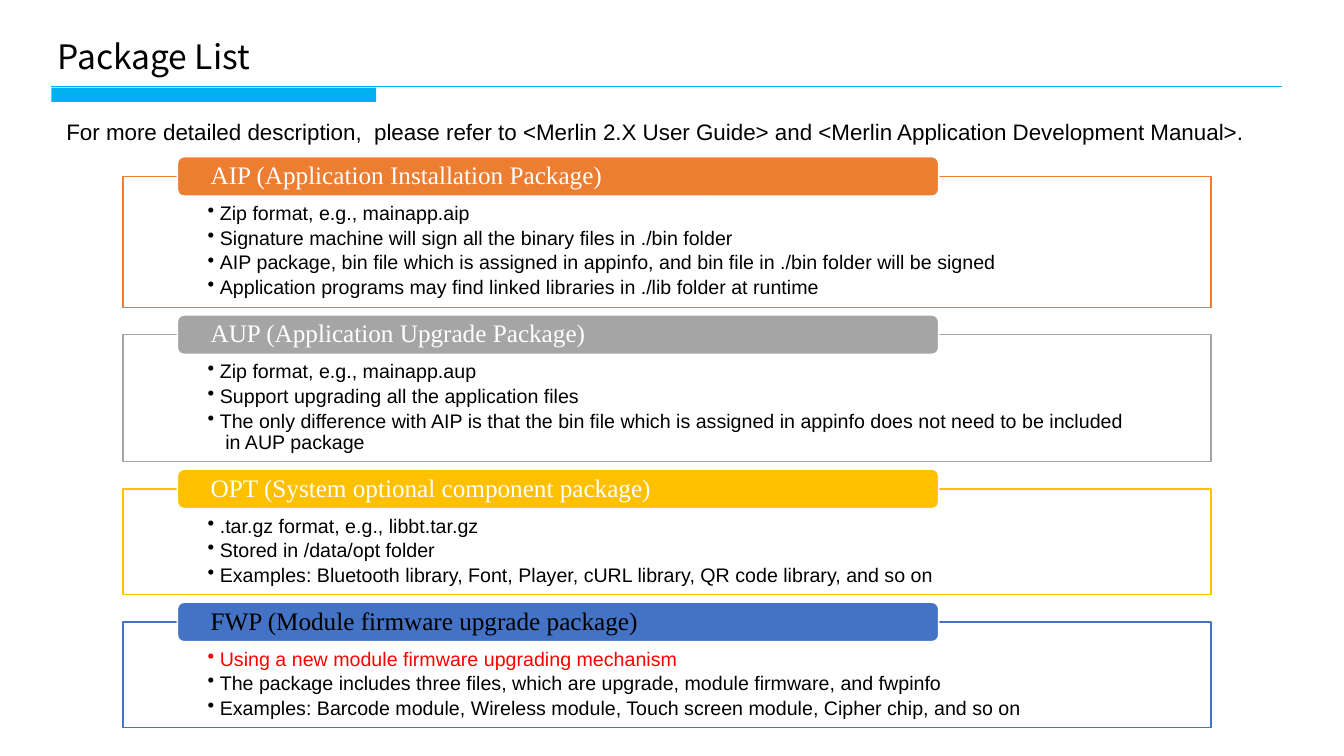
import pptx
import pptx.dml.color
import pptx.enum.shapes
import pptx.enum.text
import pptx.oxml.ns
import pptx.util
from lxml import etree
from pptx.util import Inches

SHAPES = pptx.enum.shapes.MSO_SHAPE
ANCHOR = pptx.enum.text.MSO_ANCHOR

PANEL_LEFT, PANEL_WIDTH, PANEL_GAP = 1.22, 10.79, 0.27
BANNER_LEFT, BANNER_WIDTH, BANNER_HEIGHT = 1.76, 7.55, 0.39
FIRST_PANEL_TOP = 1.75
BLACK, WHITE, RED, SKY = "000000", "FFFFFF", "FF0000", "00B0F0"

# Banner text, colour, banner text colour, panel height, bullets, first bullet colour
PACKAGES = [
    ("AIP (Application Installation Package)", "ED7D31", WHITE, 1.3, [
        "Zip format, e.g., mainapp.aip",
        "Signature machine will sign all the binary files in ./bin folder",
        "AIP package, bin file which is assigned in appinfo, and bin file in ./bin folder will be signed",
        "Application programs may find linked libraries in ./lib folder at runtime",
    ], BLACK),
    ("AUP (Application Upgrade Package)", "A5A5A5", WHITE, 1.26, [
        "Zip format, e.g., mainapp.aup",
        "Support upgrading all the application files",
        "The only difference with AIP is that the bin file which is assigned in appinfo "
        "does not need to be included  in AUP package",
    ], BLACK),
    ("OPT (System optional component package)", "FFC000", WHITE, 1.05, [
        ".tar.gz format, e.g., libbt.tar.gz",
        "Stored in /data/opt folder",
        "Examples: Bluetooth library, Font, Player, cURL library, QR code library, and so on",
    ], BLACK),
    ("FWP (Module firmware upgrade package)", "4472C4", BLACK, 1.05, [
        "Using a new module firmware upgrading mechanism",
        "The package includes three files, which are upgrade, module firmware, and fwpinfo",
        "Examples: Barcode module, Wireless module, Touch screen module, Cipher chip, and so on",
    ], RED),
]


def rgb(value):
    return pptx.dml.color.RGBColor.from_string(value)


def add_xml(parent, tag, **attributes):
    return etree.SubElement(parent, pptx.oxml.ns.qn(tag), attributes)


class SlideBuilder:
    """Holds the text style and the current slide."""

    body_font = "Arial"
    title_font = "Noto Sans CJK SC"
    banner_font = "Times New Roman"

    def __init__(self, presentation):
        self.slide = presentation.slides.add_slide(presentation.slide_layouts[5])

    def format_text(self, paragraph, font, size, color):
        paragraph.alignment = pptx.enum.text.PP_ALIGN.LEFT
        for run in paragraph.runs:
            run.font.name = font
            run.font.size = pptx.util.Pt(size)
            run.font.color.rgb = rgb(color)

    def set_frame(self, frame, anchor, sides=0.1, top=0.05, bottom=0.05):
        frame.word_wrap = True
        frame.auto_size = pptx.enum.text.MSO_AUTO_SIZE.NONE
        frame.vertical_anchor = anchor
        frame.margin_left = frame.margin_right = Inches(sides)
        frame.margin_top, frame.margin_bottom = Inches(top), Inches(bottom)

    def title(self, text, left, top, width, height):
        shape = self.slide.shapes.title
        shape.left, shape.top = Inches(left), Inches(top)
        shape.width, shape.height = Inches(width), Inches(height)
        shape.text_frame.text = text
        self.set_frame(shape.text_frame, ANCHOR.MIDDLE)
        self.format_text(shape.text_frame.paragraphs[0], self.title_font, 24, BLACK)

    def text(self, text, left, top, width, height):
        box = self.slide.shapes.add_textbox(
            Inches(left), Inches(top), Inches(width), Inches(height))
        box.text_frame.text = text
        self.set_frame(box.text_frame, ANCHOR.MIDDLE)
        self.format_text(box.text_frame.paragraphs[0], self.body_font, 16, BLACK)

    def rule(self, left, right, y, color):
        line = self.slide.shapes.add_connector(
            pptx.enum.shapes.MSO_CONNECTOR.STRAIGHT,
            Inches(left), Inches(y), Inches(right), Inches(y))
        line.line.color.rgb = rgb(color)
        line.line.width = pptx.util.Pt(1)
        add_xml(line.element.spPr, "a:effectLst")

    def block(self, kind, left, top, width, height, fill, outline=None):
        shape = self.slide.shapes.add_shape(
            kind, Inches(left), Inches(top), Inches(width), Inches(height))
        shape.shadow.inherit = False
        shape.fill.solid()
        shape.fill.fore_color.rgb = rgb(fill)
        if outline:
            shape.line.color.rgb = rgb(outline)
            shape.line.width = pptx.util.Pt(1)
        else:
            shape.line.fill.background()
        return shape

    def panel(self, top, height, color, bullets, first_color):
        shape = self.block(SHAPES.RECTANGLE, PANEL_LEFT, top, PANEL_WIDTH, height, WHITE, color)
        fill_color = shape.element.spPr.find(".//" + pptx.oxml.ns.qn("a:srgbClr"))
        add_xml(fill_color, "a:alpha", val="90000")
        frame = shape.text_frame
        frame.text = "\n".join(bullets)
        self.set_frame(frame, ANCHOR.TOP, 0.84, 0.27, 0.11)
        for index, paragraph in enumerate(frame.paragraphs):
            properties = paragraph._p.get_or_add_pPr()
            properties.set("marL", str(Inches(0.12)))
            properties.set("indent", str(-Inches(0.12)))
            add_xml(properties, "a:buChar", char="•")
            paragraph.level = 1
            paragraph.line_spacing = 0.9
            paragraph.space_after = pptx.util.Pt(2.5)
            self.format_text(paragraph, self.body_font, 14, BLACK if index else first_color)

    def banner(self, text, top, color, text_color):
        shape = self.block(SHAPES.ROUNDED_RECTANGLE, BANNER_LEFT, top,
                           BANNER_WIDTH, BANNER_HEIGHT, color, WHITE)
        shape.text_frame.text = text
        self.set_frame(shape.text_frame, ANCHOR.MIDDLE, 0.31, 0, 0)
        paragraph = shape.text_frame.paragraphs[0]
        paragraph.line_spacing = 0.9
        self.format_text(paragraph, self.banner_font, 18, text_color)


def main():
    presentation = pptx.Presentation()
    presentation.slide_width, presentation.slide_height = Inches(13.33), Inches(7.5)
    builder = SlideBuilder(presentation)

    # Heading
    builder.title("Package List", 0.47, 0.31, 5.09, 0.5)
    builder.rule(0.51, 12.72, 0.86, SKY)
    builder.block(SHAPES.RECTANGLE, 0.51, 0.87, 3.22, 0.14, SKY)

    # Package panels, each with a banner centred on its top edge
    top = FIRST_PANEL_TOP
    for name, color, name_color, height, bullets, first_color in PACKAGES:
        builder.panel(top, height, color, bullets, first_color)
        builder.banner(name, top - BANNER_HEIGHT / 2, color, name_color)
        top += height + PANEL_GAP

    # Reference to the manuals
    builder.text("For more detailed description,  please refer to <Merlin 2.X User Guide> "
                 "and <Merlin Application Development Manual>.", 0.56, 1.12, 11.91, 0.37)

    presentation.save("out.pptx")


if __name__ == "__main__":
    main()
